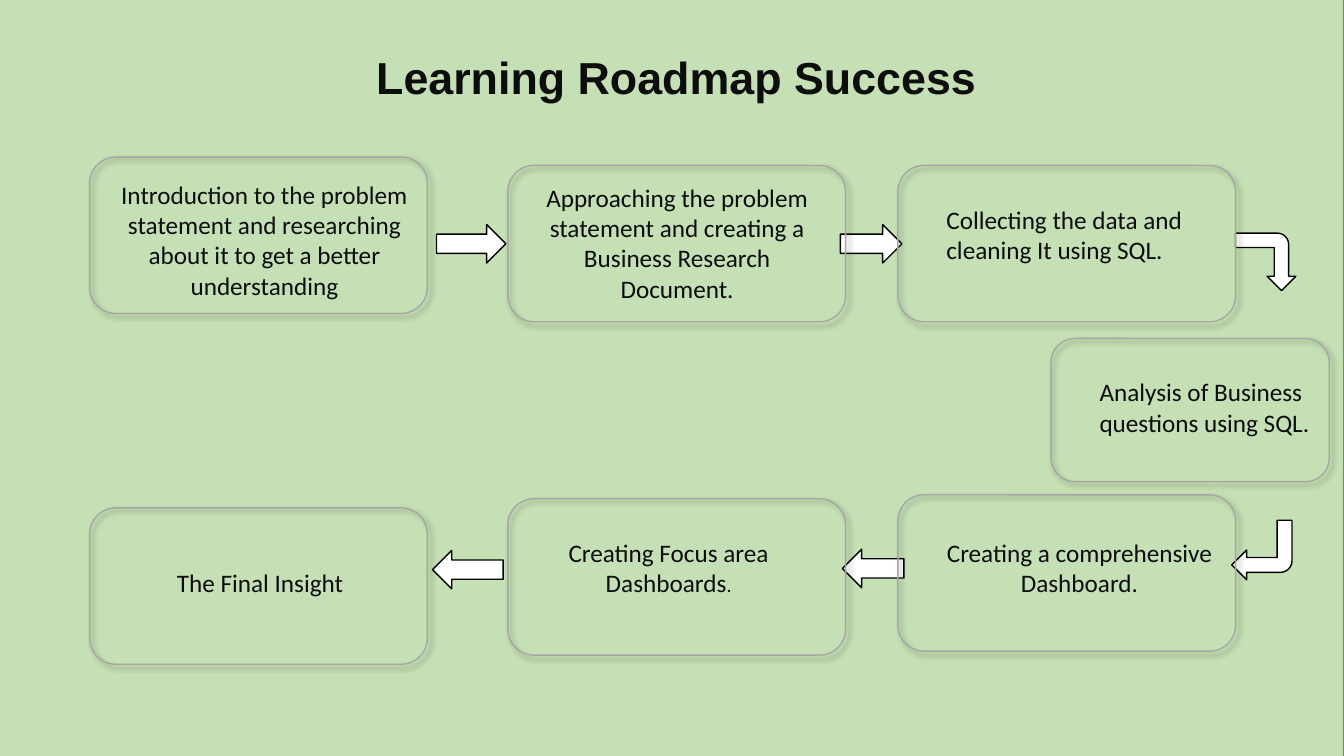
"""Build the Learning Roadmap Success slide."""
from dataclasses import dataclass

from lxml.etree import SubElement
from pptx import Presentation
from pptx.dml.color import RGBColor
from pptx.enum.shapes import MSO_SHAPE
from pptx.enum.text import MSO_AUTO_SIZE, PP_ALIGN
from pptx.oxml.ns import qn
from pptx.shapes.autoshape import Shape
from pptx.slide import Slide
from pptx.util import Cm, Pt

COLORS = {
    "green": "C5E0B4",
    "edge": "808080",
    "ink": "0D0D0D",
    "box": "A6A6A6",
    "white": "FFFFFF",
    "black": "000000",
}


@dataclass(frozen=True)
class Frame:
    left: float
    top: float
    width: float
    height: float

    def lengths(self) -> tuple[Cm, Cm, Cm, Cm]:
        return Cm(self.left), Cm(self.top), Cm(self.width), Cm(self.height)


@dataclass(frozen=True)
class Arrow:
    kind: MSO_SHAPE
    frame: Frame
    rotation: float = 0


@dataclass(frozen=True)
class Label:
    text: str
    frame: Frame
    align: PP_ALIGN = PP_ALIGN.CENTER
    font: str = "Calibri"
    size: float = 18
    bold: bool = False
    small_end: str = ""


@dataclass(frozen=True)
class Step:
    label: Label
    left: float
    top: float
    width: float = 8.51
    height: float = 3.94


TITLE = Label("Learning Roadmap Success", Frame(0.25, 1.12, 33.6, 1.63),
              font="Arial", size=32, bold=True)

COLUMNS = (2.26, 12.8, 22.63)

STEPS = [
    Step(Label("Introduction to the problem statement and researching about it "
               "to get a better understanding", Frame(2.64, 4.39, 8.05, 3.33)),
         COLUMNS[0], 3.96),
    Step(Label("Approaching the problem statement and creating a Business "
               "Research Document.", Frame(13.23, 4.47, 7.67, 3.94)),
         COLUMNS[1], 4.17),
    Step(Label("Collecting the data and cleaning It using SQL.",
               Frame(23.6, 5.03, 8.23, 2.57), PP_ALIGN.LEFT),
         COLUMNS[2], 4.17),
    Step(Label("Analysis of Business questions using SQL.",
               Frame(27.46, 9.37, 6.1, 1.8), PP_ALIGN.LEFT),
         26.49, 8.53, 7.01, 3.61),
    Step(Label("Creating a comprehensive Dashboard.",
               Frame(23.14, 13.41, 8.13, 1.8)),
         COLUMNS[2], 12.47),
    Step(Label("Creating Focus area Dashboards",
               Frame(13.79, 13.41, 6.12, 1.8), small_end="."),
         COLUMNS[1], 12.57),
    Step(Label("The Final Insight", Frame(2.87, 14.17, 7.37, 1.02)),
         COLUMNS[0], 12.8),
]

ARROWS = [
    Arrow(MSO_SHAPE.RIGHT_ARROW, Frame(11, 5.66, 1.75, 0.97)),
    Arrow(MSO_SHAPE.RIGHT_ARROW, Frame(21.18, 5.66, 1.55, 0.97)),
    Arrow(MSO_SHAPE.BENT_ARROW, Frame(31.17, 5.84, 1.45, 1.52), 90),
    Arrow(MSO_SHAPE.BENT_ARROW, Frame(31.04, 13.11, 1.52, 1.5), 180),
    Arrow(MSO_SHAPE.LEFT_ARROW, Frame(21.23, 13.84, 1.55, 0.97)),
    Arrow(MSO_SHAPE.LEFT_ARROW, Frame(10.9, 13.87, 1.78, 0.97)),
]


def rgb(name: str) -> RGBColor:
    return RGBColor.from_string(COLORS[name])


def add_outlined(s: Slide, kind: MSO_SHAPE, frame: Frame, line: str,
                 fill: str | None = None, weight: float = 1) -> Shape:
    sp = s.shapes.add_shape(kind, *frame.lengths())
    sp.shadow.inherit = False
    if fill:
        sp.fill.solid()
        sp.fill.fore_color.rgb = rgb(fill)
    else:
        sp.fill.background()
    sp.line.color.rgb = rgb(line)
    sp.line.width = Pt(weight)
    return sp


def add_shadow(sp: Shape) -> None:
    effects = sp.element.spPr.find(qn("a:effectLst"))
    shadow = SubElement(effects, qn("a:outerShdw"), blurRad=str(Pt(4)),
                        dist=str(Pt(3)), dir=str(45 * 60000),
                        algn="tl", rotWithShape="0")
    color = SubElement(shadow, qn("a:srgbClr"), val=COLORS["black"])
    SubElement(color, qn("a:alpha"), val="40000")


def add_label(s: Slide, label: Label) -> None:
    tf = s.shapes.add_textbox(*label.frame.lengths()).text_frame
    tf.word_wrap = True
    tf.auto_size = MSO_AUTO_SIZE.SHAPE_TO_FIT_TEXT
    p = tf.paragraphs[0]
    p.alignment = label.align
    p.font.name = label.font
    p.font.size = Pt(label.size)
    p.font.bold = label.bold
    p.font.color.rgb = rgb("ink")
    p.add_run().text = label.text
    if label.small_end:
        r = p.add_run()
        r.text = label.small_end
        r.font.size = Pt(14)


def add_arrow(s: Slide, arrow: Arrow) -> None:
    sp = add_outlined(s, arrow.kind, arrow.frame, "black", "white")
    sp.rotation = arrow.rotation
    if arrow.kind == MSO_SHAPE.BENT_ARROW:
        sp.adjustments[3] = 0.195


def add_box(s: Slide, step: Step) -> None:
    frame = Frame(step.left, step.top, step.width, step.height)
    add_shadow(add_outlined(s, MSO_SHAPE.ROUNDED_RECTANGLE, frame, "box"))


def main() -> None:
    prs = Presentation()
    prs.slide_width, prs.slide_height = Cm(33.87), Cm(19.05)
    s = prs.slides.add_slide(prs.slide_layouts[6])
    add_outlined(s, MSO_SHAPE.RECTANGLE, Frame(-0.08, 0, 33.93, 19.33),
                 "edge", "green", 0.75)
    for label in [TITLE, *(step.label for step in STEPS)]:
        add_label(s, label)
    for arrow in ARROWS:
        add_arrow(s, arrow)
    for step in STEPS:
        add_box(s, step)
    prs.save("out.pptx")


if __name__ == "__main__":
    main()
